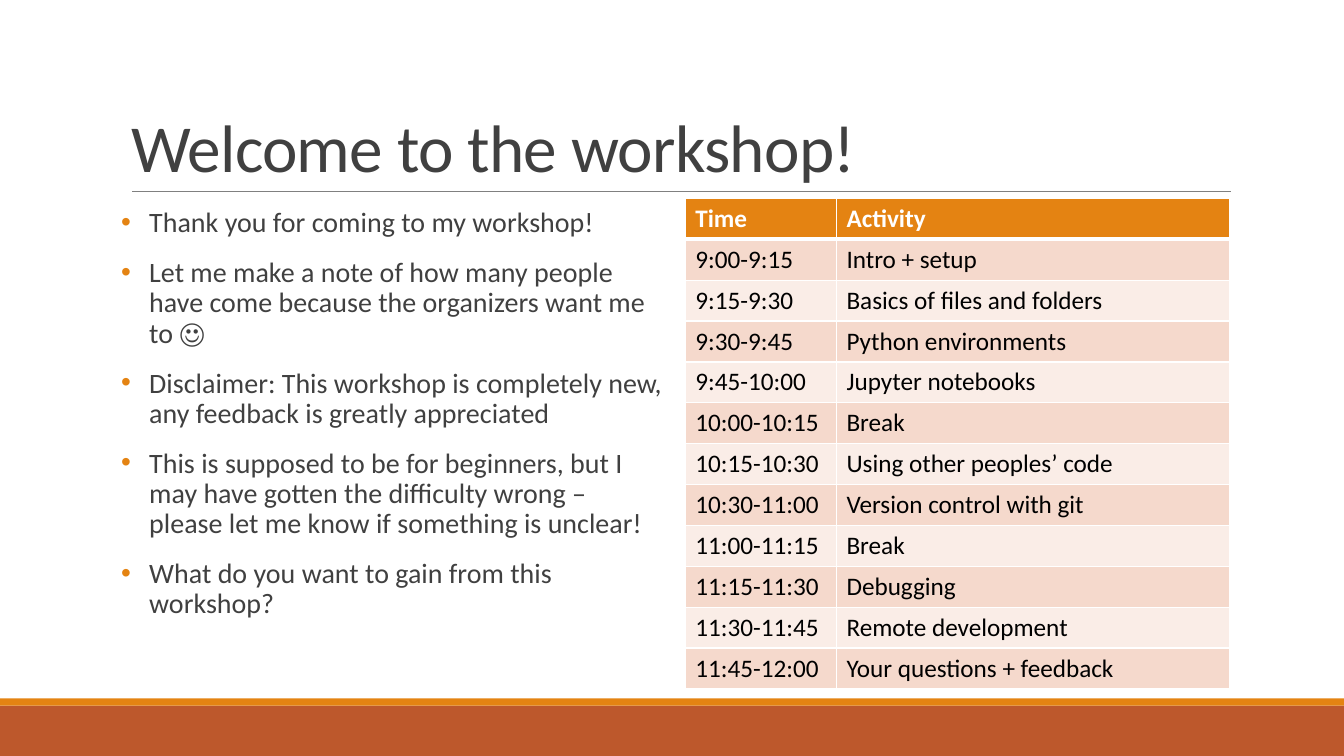
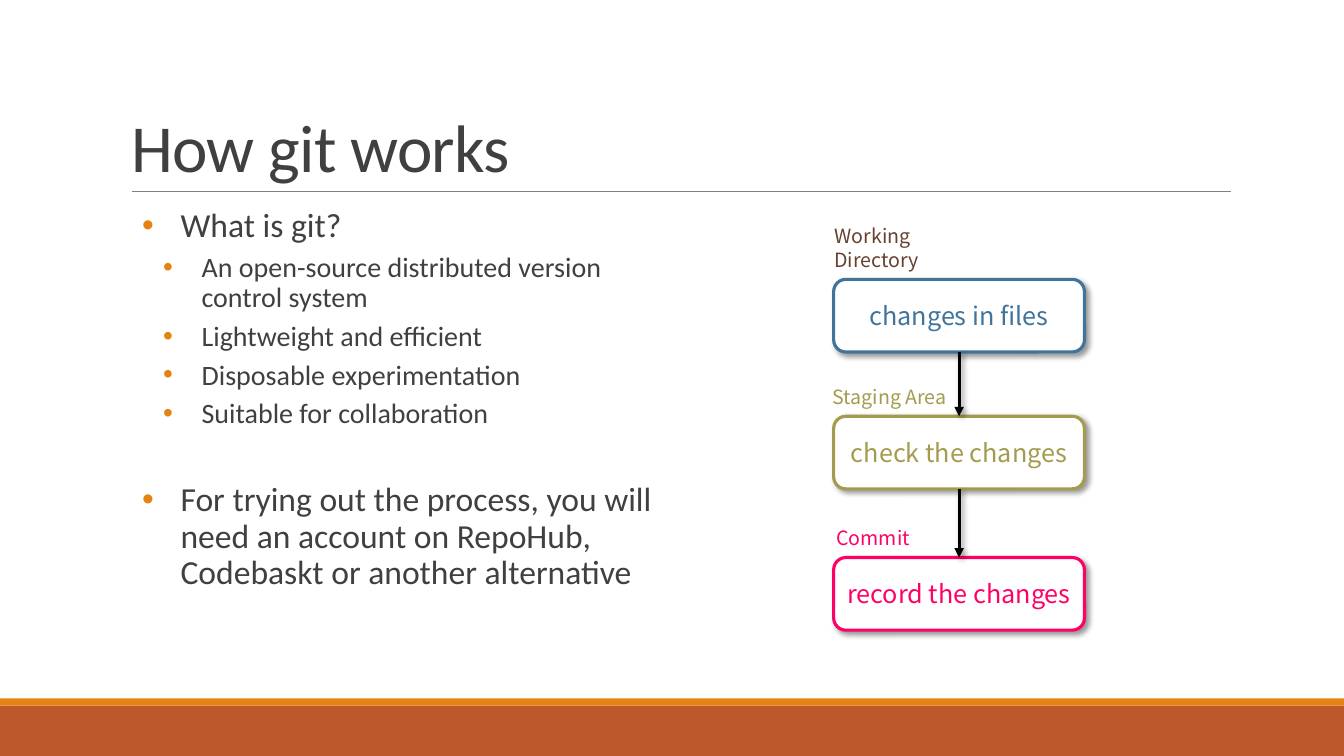
from lxml import etree
from pptx import Presentation
from pptx import util as u
from pptx.dml.color import RGBColor
from pptx.enum import shapes, text
from pptx.oxml import ns

Cm, Pt = u.Cm, u.Pt

ORANGE, RUST, WHITE, BLACK = "E48312", "BD582C", "FFFFFF", "000000"
GREY, RULE = "404040", "808080"
ROW_TINTS = ("F5D9CC", "FAEDE7")
BODY_FONT, FLOW_FONT = "Calibri", "Noto Sans CJK TC"

SLIDE_SIZE = (33.87, 19.05)
TITLE_BOX = (3.05, 0.79, 27.94, 4.04)
LIST_BOX = (3.05, 5.13, 13.72, 11.18)
SCHEDULE_BOX = (17.27, 5, 13.72, 12.37)
FLOW_BOX = (21.01, 7.04, 6.32, 8.84)

LEVELS = {
    0: dict(size=20, indent=0.71, before=12, after=2),
    1: dict(size=24, indent=1.5, before=2, after=4),
    2: dict(size=20, indent=2.03, before=2, after=4),
}
HANGING = 0.97
SECTION_GAP = 34

WELCOME_POINTS = [
    (0, "Thank you for coming to my workshop!"),
    (0, "Let me make a note of how many people have come because the organizers want me to ☺"),
    (0, "Disclaimer: This workshop is completely new, any feedback is greatly appreciated"),
    (0, "This is supposed to be for beginners, but I may have gotten the difficulty wrong – "
        "please let me know if something is unclear!"),
    (0, "What do you want to gain from this workshop?"),
]
SCHEDULE = [
    ("Time", "Activity"),
    ("9:00-9:15", "Intro + setup"),
    ("9:15-9:30", "Basics of files and folders"),
    ("9:30-9:45", "Python environments"),
    ("9:45-10:00", "Jupyter notebooks"),
    ("10:00-10:15", "Break"),
    ("10:15-10:30", "Using other peoples’ code"),
    ("10:30-11:00", "Version control with git"),
    ("11:00-11:15", "Break"),
    ("11:15-11:30", "Debugging"),
    ("11:30-11:45", "Remote development"),
    ("11:45-12:00", "Your questions + feedback"),
]
GIT_POINTS = [
    (1, "What is git?"),
    (2, "An open-source distributed version control system"),
    (2, "Lightweight and efficient"),
    (2, "Disposable experimentation"),
    (2, "Suitable for collaboration"),
    (1, "For trying out the process, you will need an account on RepoHub, "
        "Codebaskt or another alternative"),
]
STAGES = [
    (0, -0.23, ("Working", "Directory"), "654130", "changes in files", "40749B"),
    (3.45, -0.28, ("Staging Area",), "A39B4E", "check the changes", "A39B4E"),
    (7.01, -0.18, ("Commit",), "FF0066", "record the changes", "FF0066"),
]


def rgb(hex_color):
    """Turn a hex string into a colour."""
    return RGBColor.from_string(hex_color)


def cm_box(box):
    """Turn left, top, width and height in centimetres into lengths."""
    return [Cm(length) for length in box]


def add_xml(parent, tag, **attributes):
    """Append a drawing element and return it."""
    return etree.SubElement(parent, ns.qn(f"a:{tag}"), attributes)


def write(paragraph, words, size=18, color=GREY, font=BODY_FONT, bold=False,
          align=text.PP_ALIGN.LEFT, line_spacing=None, tracking=None):
    """Add a formatted run to a paragraph."""
    paragraph.alignment = align
    if line_spacing:
        paragraph.line_spacing = line_spacing
    run = paragraph.add_run()
    run.text = words
    run.font.name, run.font.size, run.font.bold = font, Pt(size), bold
    run.font.color.rgb = rgb(color)
    if tracking:
        run.font._element.set("spc", str(round(tracking * 100)))


def new_paragraph(frame, index):
    """Return the first paragraph of a frame, or a further one."""
    return frame.add_paragraph() if index else frame.paragraphs[0]


def cast_shadow(shape):
    """Give a shape or connector a soft shadow to the lower right."""
    effects = add_xml(shape._element.spPr, "effectLst")
    shadow = add_xml(effects, "outerShdw", blurRad=str(Pt(4)), dist=str(Pt(3)),
                     dir="2700000", algn="tl", rotWithShape="0")
    add_xml(add_xml(shadow, "srgbClr", val=BLACK), "alpha", val="40000")


def place(placeholder, box):
    """Move a placeholder to a box."""
    placeholder.left, placeholder.top, placeholder.width, placeholder.height = cm_box(box)


def decorate_layout(layout, slide):
    """Put the bottom bands and the title rule on the layout."""
    width, height = SLIDE_SIZE
    parts = []
    for top, depth, color in ((height - 1.27, 1.27, RUST), (height - 1.45, 0.18, ORANGE)):
        band = slide.shapes.add_shape(shapes.MSO_SHAPE.RECTANGLE,
                                      *cm_box((0, top, width, depth)))
        band.shadow.inherit = False
        band.fill.solid()
        band.fill.fore_color.rgb = rgb(color)
        band.line.fill.background()
        parts.append(band)
    rule = slide.shapes.add_connector(shapes.MSO_CONNECTOR.STRAIGHT,
                                      *cm_box((3.33, 4.83, 31.01, 4.83)))
    rule.line.color.rgb = rgb(RULE)
    rule.line.width = Pt(0.5)
    add_xml(rule._element.spPr, "effectLst")
    for part in parts + [rule]:
        layout.shapes.element.append(part._element)


def add_title(slide, words):
    """Fill the title placeholder."""
    place(slide.shapes.title, TITLE_BOX)
    frame = slide.shapes.title.text_frame
    frame.vertical_anchor = text.MSO_ANCHOR.BOTTOM
    frame.auto_size = text.MSO_AUTO_SIZE.NONE
    write(frame.paragraphs[0], words, size=48, line_spacing=0.85, tracking=-0.5)


def add_points(slide, box, points):
    """Fill the body placeholder with a bulleted list."""
    body = slide.placeholders[1]
    place(body, box)
    frame = body.text_frame
    frame.auto_size = text.MSO_AUTO_SIZE.NONE
    frame.margin_left = frame.margin_right = 0
    previous = 0
    for index, (level, words) in enumerate(points):
        style = LEVELS[level]
        point = new_paragraph(frame, index)
        point.level = level
        write(point, words, size=style["size"], line_spacing=0.9)
        point.space_before = Pt(SECTION_GAP if level < previous else style["before"])
        point.space_after = Pt(style["after"])
        properties = point._p.get_or_add_pPr()
        properties.set("marL", str(Cm(style["indent"])))
        properties.set("indent", str(-Cm(HANGING)))
        add_xml(add_xml(properties, "buClr"), "srgbClr", val=ORANGE)
        add_xml(properties, "buFont", typeface="Arial")
        add_xml(properties, "buChar", char="•")
        previous = level


def format_cell(cell, words, row):
    """Fill one schedule cell, with white borders."""
    header = row == 0
    properties = cell._tc.get_or_add_tcPr()
    for side in "LRTB":
        thick = (header and side == "B") or (row == 1 and side == "T")
        border = add_xml(properties, f"ln{side}", w=str(Pt(3 if thick else 1)))
        add_xml(add_xml(border, "solidFill"), "srgbClr", val=WHITE)
    cell.fill.solid()
    cell.fill.fore_color.rgb = rgb(ORANGE if header else ROW_TINTS[(row - 1) % 2])
    write(cell.text_frame.paragraphs[0], words, color=WHITE if header else BLACK, bold=header)


def add_schedule(slide, box, rows):
    """Draw the timetable in a box."""
    table = slide.shapes.add_table(len(rows), 2, *cm_box(box)).table
    time_width = 3.81
    table.columns[0].width = Cm(time_width)
    table.columns[1].width = Cm(box[2] - time_width)
    for row, entries in enumerate(rows):
        table.rows[row].height = Cm(box[3] / len(rows))
        for column, words in enumerate(entries):
            format_cell(table.cell(row, column), words, row)


def add_stage(slide, box, words, color):
    """Draw one rounded stage of the flow."""
    stage = slide.shapes.add_shape(shapes.MSO_SHAPE.ROUNDED_RECTANGLE, *cm_box(box))
    stage.fill.solid()
    stage.fill.fore_color.rgb = rgb(WHITE)
    stage.line.color.rgb = rgb(color)
    stage.line.width = Pt(2.25)
    cast_shadow(stage)
    frame = stage.text_frame
    frame.vertical_anchor = text.MSO_ANCHOR.MIDDLE
    write(frame.paragraphs[0], words, color=color, font=FLOW_FONT, align=text.PP_ALIGN.CENTER)
    return stage


def add_label(slide, box, lines, color):
    """Write a stage label that rests on the bottom of its box."""
    frame = slide.shapes.add_textbox(*cm_box(box)).text_frame
    frame.word_wrap = True
    frame.vertical_anchor = text.MSO_ANCHOR.BOTTOM
    for index, line in enumerate(lines):
        write(new_paragraph(frame, index), line, size=14, color=color, font=FLOW_FONT)


def add_arrow(slide, source, target):
    """Join the bottom of one stage to the top of the next."""
    arrow = slide.shapes.add_connector(shapes.MSO_CONNECTOR.STRAIGHT, 0, 0, 0, 0)
    arrow.begin_connect(source, 2)
    arrow.end_connect(target, 0)
    arrow.line.color.rgb = rgb(BLACK)
    arrow.line.width = Pt(2.25)
    add_xml(arrow.line._get_or_add_ln(), "tailEnd", type="triangle")
    cast_shadow(arrow)


def add_flow(slide, box, stages):
    """Draw the labelled stages and the arrows between them."""
    left, top, width, _ = box
    stage_height, label_height, label_gap = 1.83, 1.45, 0.08
    drawn = []
    for offset, shift, label, label_color, words, color in stages:
        stage_top = top + offset
        drawn.append(add_stage(slide, (left, stage_top, width, stage_height), words, color))
        label_top = stage_top - label_gap - label_height
        add_label(slide, (left + shift, label_top, 3.8, label_height), label, label_color)
    for source, target in zip(drawn, drawn[1:]):
        add_arrow(slide, source, target)


def add_slide(deck, title, points):
    """Add a slide with a title and a list."""
    slide = deck.slides.add_slide(deck.slide_layouts[1])
    add_title(slide, title)
    add_points(slide, LIST_BOX, points)
    return slide


def main():
    """Build and save the two slides."""
    deck = Presentation()
    deck.slide_width, deck.slide_height = (Cm(length) for length in SLIDE_SIZE)
    welcome = add_slide(deck, "Welcome to the workshop!", WELCOME_POINTS)
    decorate_layout(deck.slide_layouts[1], welcome)
    add_schedule(welcome, SCHEDULE_BOX, SCHEDULE)
    git = add_slide(deck, "How git works", GIT_POINTS)
    add_flow(git, FLOW_BOX, STAGES)
    deck.save("out.pptx")


if __name__ == "__main__":
    main()
